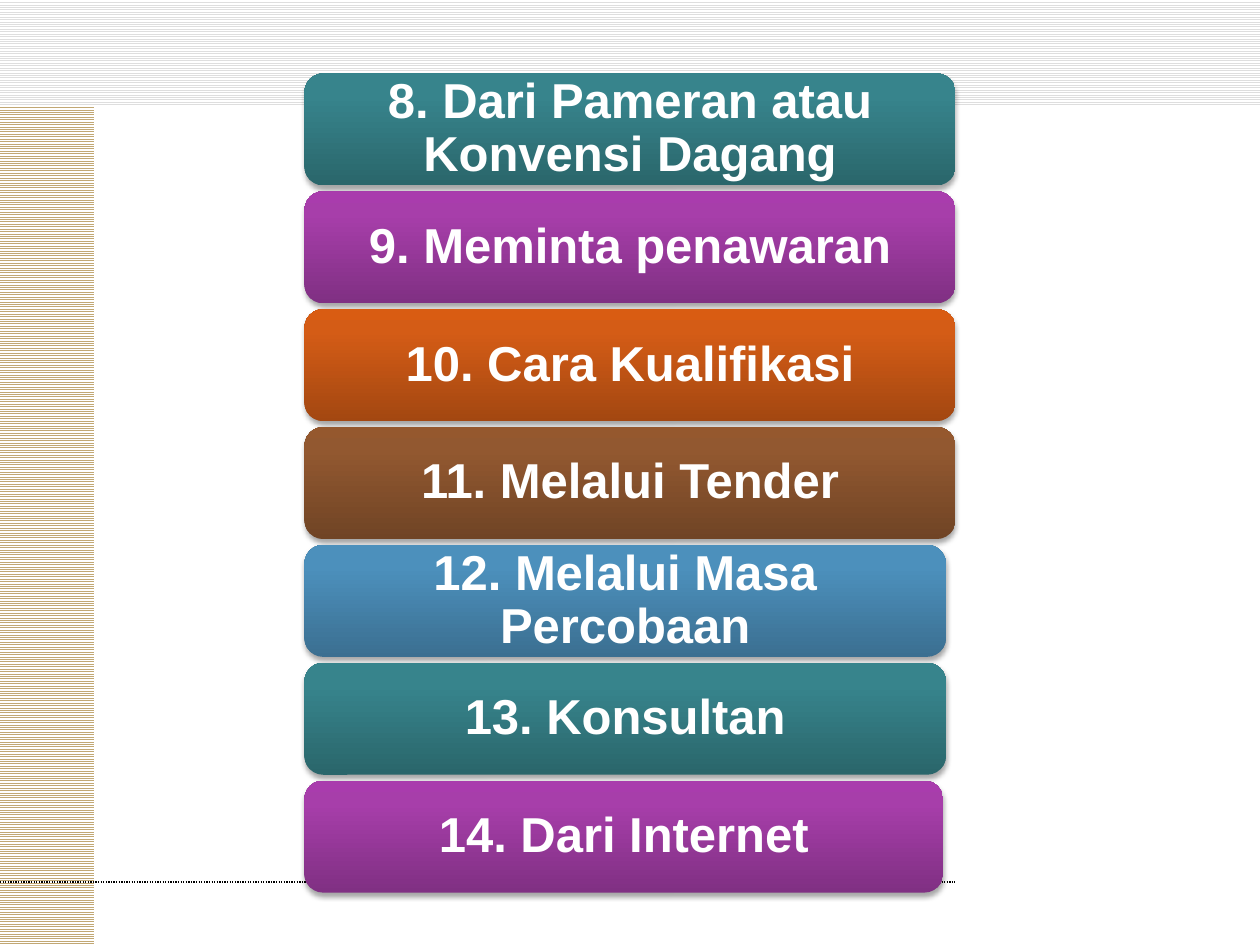
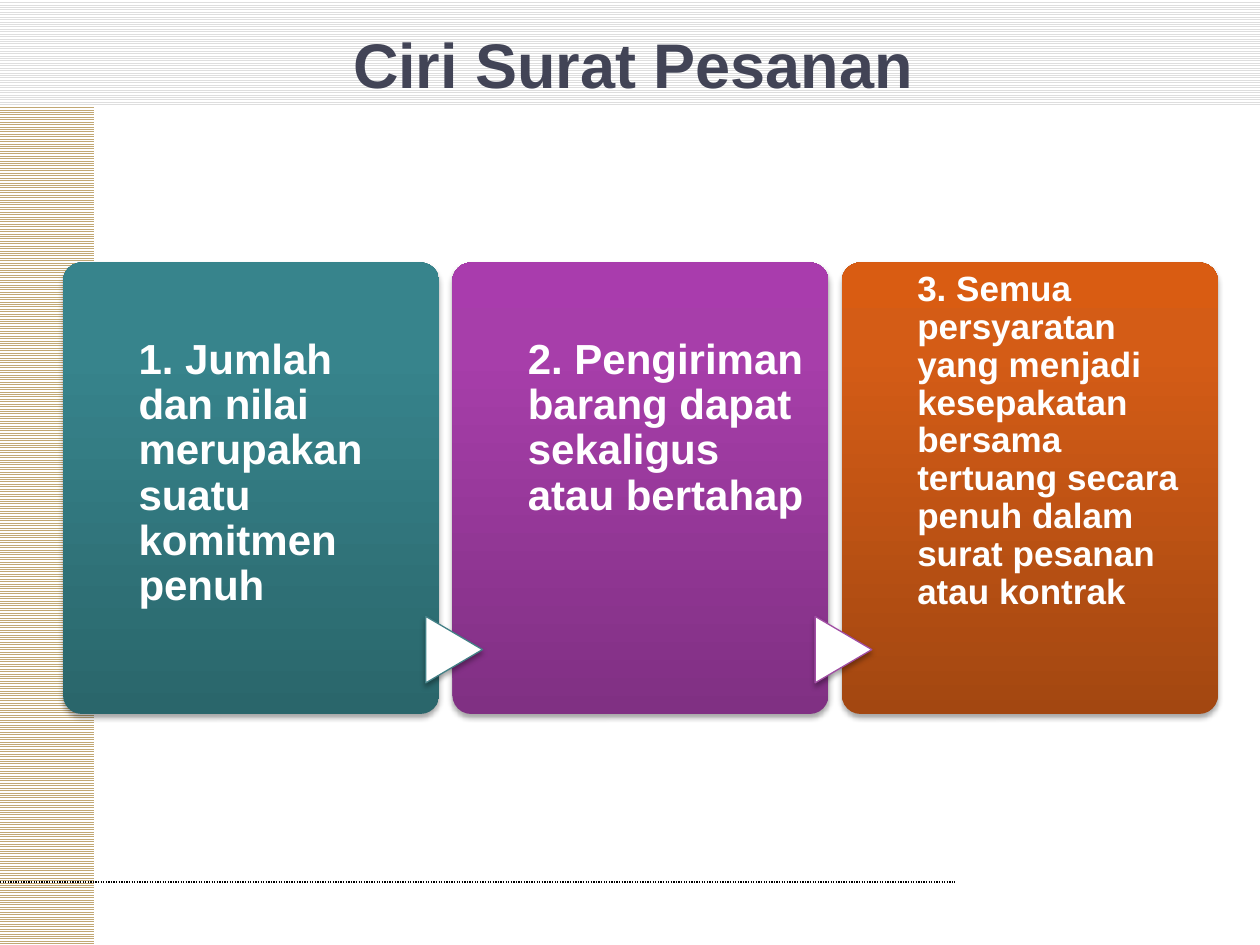
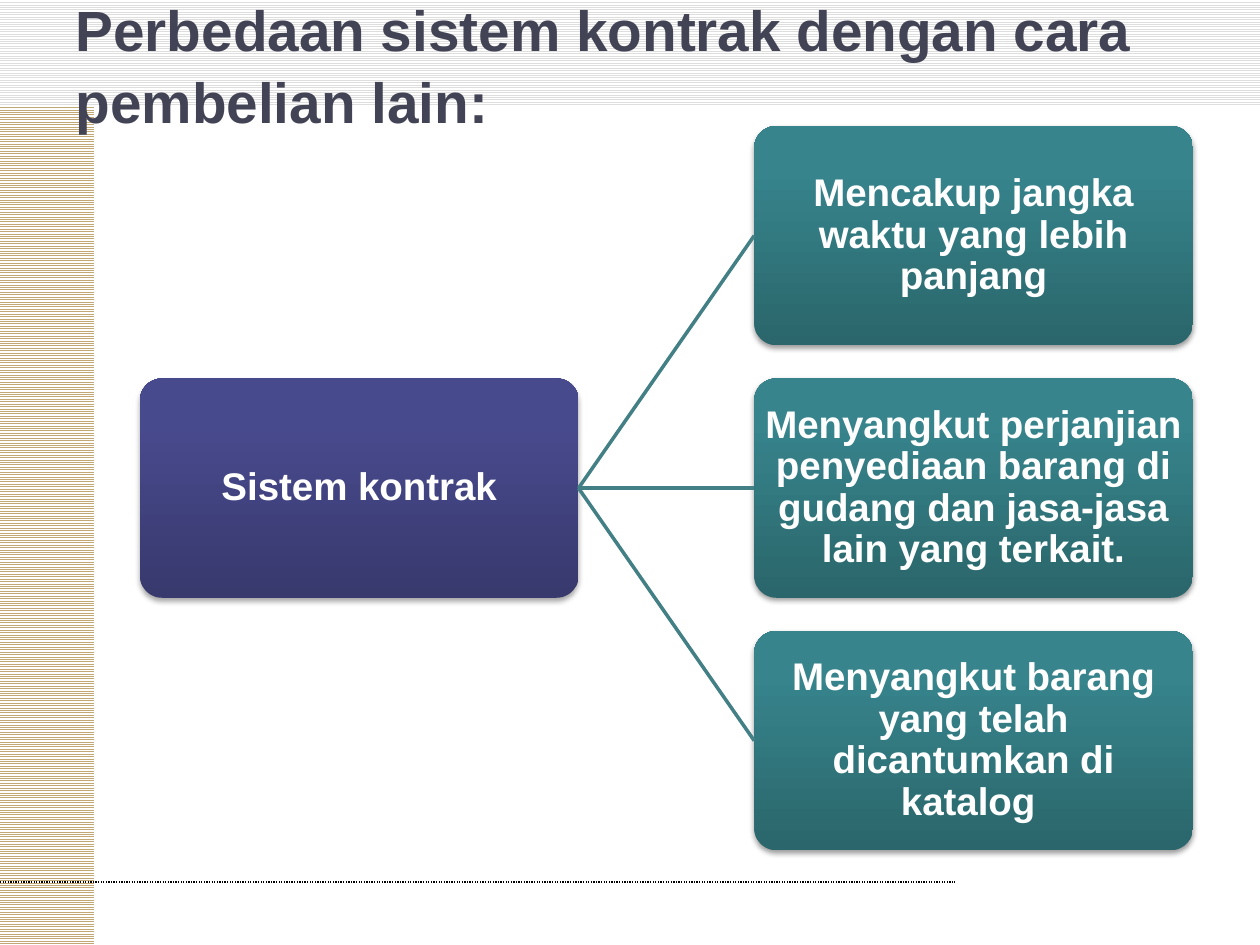
from copy import deepcopy

from pptx import Presentation
from pptx.dml.color import RGBColor
from pptx.enum import dml, shapes, text
from pptx.oxml import ns, xmlchemy
from pptx.util import Pt


class Theme:
    font = "Arial"
    white, ink, black = "FFFFFF", "424456", "000000"
    grey, sand = "DEDEDE", "C2A874"
    teal_line, plum_line = "438086", "A04DA3"
    # Gradients run from the bottom edge to the top edge
    teal = ("2A666B", "37848C", "36868E")
    plum = ("803083", "A73EAA", "A93CAD")
    rust = ("A34711", "D45C16", "D95C12")
    brown = ("704425", "925830", "95582E")
    blue = ("3B6F91", "4C90BC", "4A91BF")
    navy = ("38396D", "484A8E", "474990")
    stops = (0, 0.8, 1)
    title, long_title = 36, 32.4
    list_size, step_size, small_step, node_size = 28, 24, 20, 22


KIND = shapes.MSO_SHAPE
LEFT, MID = text.PP_ALIGN.LEFT, text.PP_ALIGN.CENTER
rgb = RGBColor.from_string


def write(shape, words, size, color=Theme.white, align=MID, space=0.9,
          anchor=text.MSO_ANCHOR.MIDDLE, pad=(7.2, 3.6, 7.2, 3.6)):
    frame = shape.text_frame
    frame.word_wrap = True
    frame.auto_size = text.MSO_AUTO_SIZE.NONE
    frame.vertical_anchor = anchor
    (frame.margin_left, frame.margin_top,
     frame.margin_right, frame.margin_bottom) = map(Pt, pad)
    para = frame.paragraphs[0]
    para.alignment, para.line_spacing = align, space
    run = para.add_run()
    run.text = words
    run.font.name, run.font.size, run.font.bold = Theme.font, Pt(size), True
    run.font.color.rgb = rgb(color)


def draw(page, kind, box, fill, edge=None, round=None, alpha=35, drop=1.8):
    shape = page.shapes.add_shape(kind, *map(Pt, box))
    if round:
        shape.adjustments[0] = round
    # Fill: one colour, or three gradient stops
    if isinstance(fill, str):
        shape.fill.solid()
        shape.fill.fore_color.rgb = rgb(fill)
    else:
        shape.fill.gradient()
        shape.fill.gradient_angle = 90
        stops = shape.element.spPr.find(".//" + ns.qn("a:gsLst"))
        stops.append(deepcopy(stops[1]))
        for stop, color, place in zip(shape.fill.gradient_stops, fill, Theme.stops):
            stop.color.rgb, stop.position = rgb(color), place
    if edge:
        shape.line.color.rgb, shape.line.width = rgb(edge), Pt(0.75)
    else:
        shape.line.fill.background()
    # Soft shadow below
    shape.shadow.inherit = False
    glow = xmlchemy.OxmlElement("a:outerShdw")
    for key, value in dict(blurRad=Pt(3.1), dist=Pt(drop), dir=5400000,
                           rotWithShape=0).items():
        glow.set(key, str(value))
    tone = xmlchemy.OxmlElement("a:srgbClr")
    tone.set("val", Theme.black)
    veil = xmlchemy.OxmlElement("a:alpha")
    veil.set("val", str(alpha * 1000))
    tone.append(veil)
    glow.append(tone)
    shape.element.spPr.find(ns.qn("a:effectLst")).append(glow)
    return shape


deck = Presentation()
deck.slide_width, deck.slide_height = Pt(720), Pt(540)
ways = deck.slides.add_slide(deck.slide_layouts[6])
traits, terms = [deck.slides.add_slide(deck.slide_layouts[5]) for _ in range(2)]

# Shared bands and footer line, moved to the master
decor = []
for box, color in (((0, 0, 720, 60), Theme.grey), ((0, 60, 54, 480), Theme.sand)):
    band = ways.shapes.add_shape(KIND.RECTANGLE, *map(Pt, box))
    band.fill.patterned()
    band.fill.pattern = dml.MSO_PATTERN.LIGHT_HORIZONTAL
    band.fill.fore_color.rgb = rgb(color)
    band.fill.back_color.rgb = rgb(Theme.white)
    band.line.fill.background()
    band.shadow.inherit = False
    decor.append(band)
rule = ways.shapes.add_connector(shapes.MSO_CONNECTOR.STRAIGHT,
                                 Pt(0), Pt(504), Pt(546), Pt(504))
rule.line.color.rgb, rule.line.width = rgb(Theme.black), Pt(0.75)
rule.line.dash_style = dml.MSO_LINE.ROUND_DOT
rule.element.spPr.append(xmlchemy.OxmlElement("a:effectLst"))
decor.append(rule)
for i, part in enumerate(decor):
    part.element[0][0].set("id", str(100 + i))
    deck.slide_master.shapes.element.insert(2 + i, part.element)

# Titles
for page, words, size, align, space in (
        (traits, "Ciri Surat Pesanan", Theme.title, MID, 1),
        (terms, "Perbedaan sistem kontrak dengan cara pembelian lain:",
         Theme.long_title, LEFT, 1.06)):
    title = page.shapes.title
    title.left, title.top, title.width, title.height = map(Pt, (36, 18, 651.6, 36))
    write(title, words, size, color=Theme.ink, align=align, space=space)

# Slide 1: stacked list of ways
for i, (words, fill, width) in enumerate((
        ("8. Dari Pameran atau Konvensi Dagang", Theme.teal, 372),
        ("9. Meminta penawaran", Theme.plum, 372),
        ("10. Cara Kualifikasi", Theme.rust, 372),
        ("11. Melalui Tender", Theme.brown, 372),
        ("12. Melalui Masa Percobaan", Theme.blue, 366.5),
        ("13. Konsultan", Theme.teal, 366.5),
        ("14. Dari Internet", Theme.plum, 365))):
    bar = draw(ways, KIND.ROUNDED_RECTANGLE, (174, 42 + 67.35 * i, width, 64), fill)
    write(bar, words, Theme.list_size, pad=(8.5, 0, 8.5, 0))

# Slide 2: three steps with arrowheads between them
pitch = 222.5
for i, (words, fill, size, top) in enumerate((
        ("1. Jumlah dan nilai merupakan suatu komitmen penuh",
         Theme.teal, Theme.step_size, 40),
        ("2. Pengiriman barang dapat sekaligus atau bertahap",
         Theme.plum, Theme.step_size, 40),
        ("3. Semua persyaratan yang menjadi kesepakatan bersama tertuang "
         "secara penuh dalam surat pesanan atau kontrak",
         Theme.rust, Theme.small_step, 2))):
    step = draw(traits, KIND.ROUNDED_RECTANGLE, (36 + pitch * i, 150, 215, 258),
                fill, round=0.05)
    write(step, words, size, align=LEFT, anchor=text.MSO_ANCHOR.TOP,
          pad=(40, top, 9, 0))
for i, edge in enumerate((Theme.teal_line, Theme.plum_line)):
    tip = draw(traits, KIND.FLOWCHART_EXTRACT, (240.5 + pitch * i, 355, 38, 32.4),
               Theme.white, edge=edge)
    tip.rotation = 90

# Slide 3: root joined to three branches
root = draw(terms, KIND.ROUNDED_RECTANGLE, (80, 216.3, 250.6, 125.3),
            Theme.navy, round=0.1)
write(root, "Sistem kontrak", Theme.node_size, pad=(1, 1, 1, 1))
for i, words in enumerate((
        "Mencakup jangka waktu yang lebih panjang",
        "Menyangkut perjanjian penyediaan barang di gudang dan jasa-jasa "
        "lain yang terkait.",
        "Menyangkut barang yang telah dicantumkan di katalog ")):
    leaf = draw(terms, KIND.ROUNDED_RECTANGLE, (431, 72 + 144.3 * i, 250.6, 125.3),
                Theme.teal, round=0.1, alpha=38, drop=1.6)
    write(leaf, words, Theme.node_size, pad=(1, 1, 1, 1))
    link = terms.shapes.add_connector(shapes.MSO_CONNECTOR.STRAIGHT, 0, 0, 0, 0)
    link.begin_connect(root, 3)
    link.end_connect(leaf, 1)
    link.line.color.rgb, link.line.width = rgb(Theme.teal_line), Pt(2)
    link.element.spPr.append(xmlchemy.OxmlElement("a:effectLst"))

deck.save("out.pptx")
